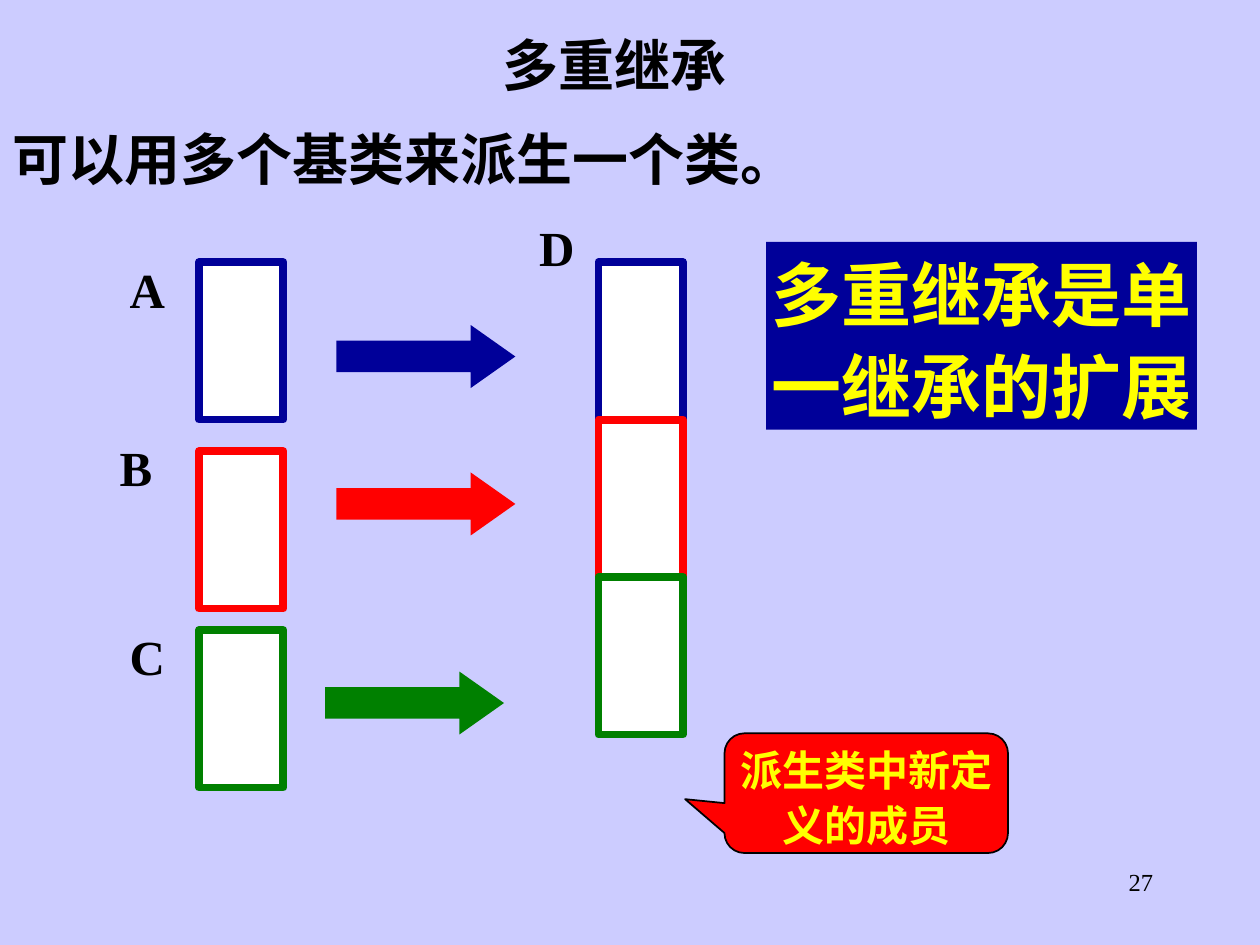
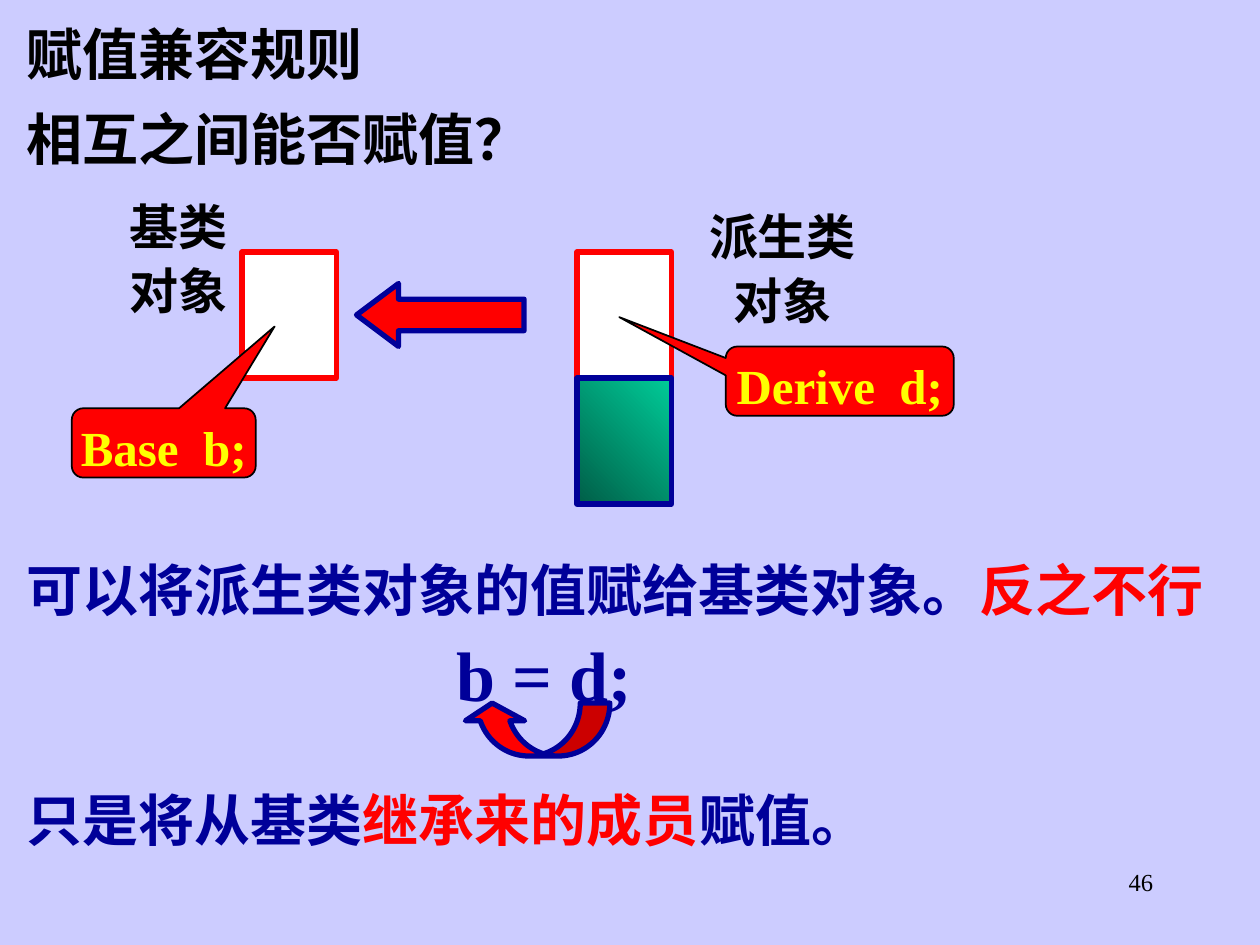
import pptx
import pptx.util
import pptx.dml.color
import pptx.enum.shapes
import pptx.enum.text
from lxml import etree

Inches, Pt = pptx.util.Inches, pptx.util.Pt
SHAPE = pptx.enum.shapes.MSO_SHAPE
ALIGN = pptx.enum.text.PP_ALIGN
ANCHOR = pptx.enum.text.MSO_ANCHOR
AUTO_SIZE = pptx.enum.text.MSO_AUTO_SIZE

COLORS = {
    "background": "CCCCFF", "black": "000000", "white": "FFFFFF",
    "navy": "000099", "red": "FF0000", "green": "008000", "yellow": "FFFF00",
    "teal_dark": "005E47", "teal": "00CC99",
}
SERIF, SANS = "Times New Roman", "Arial"
LABEL = dict(size=28, align=ALIGN.CENTER, spacing=1.1, inset=(0.02, 0.01))
NOTE = dict(LABEL, color="yellow", inset=(0.02, 0))
STATEMENT = dict(size=32, spacing=1.2)

# Content of slide 1: multiple inheritance
INHERITANCE = {
    "number": "27",
    "title": "多重继承",
    "body": "可以用多个基类来派生一个类。",
    "remark": "多重继承是单一继承的扩展",
    "callout": "派生类中新定义的成员",
}
# name, colour, label position, box top, arrow position
BASES = [
    ("A", "navy", (0.92, 2), 2.08, (2.67, 2.58)),
    ("B", "red", (0.83, 3.42), 3.58, (2.67, 3.75)),
    ("C", "green", (0.92, 4.92), 5, (2.58, 5.33)),
]
MEMBER_W, MEMBER_H = 0.67, 1.25
DERIVED_LEFT, DERIVED_TOP = 4.75, 2.08

# Content of slide 2: assignment compatibility
ASSIGNMENT = {
    "number": "46",
    "title": "赋值兼容规则",
    "body": "相互之间能否赋值？",
}
OBJECT_LABELS = [("基类对象", (0.92, 1.5, 1, 1.05)),
                 ("派生类对象", (5.5, 1.58, 1.42, 1.05))]
DECLARATIONS = [("Base  b;", (0.57, 3.24, 1.46, 0.55), (0.603, -1.681, 0.167)),
                ("Derive  d;", (5.76, 2.75, 1.81, 0.55), (-0.967, -0.924, 0.167))]
RULES = [
    (4.25, [("可以将派生类对象的值赋给基类对象。", "navy"), ("反之不行", "red")]),
    (6.08, [("只是将从基类", "navy"), ("继承来的成员", "red"), ("赋值。", "navy")]),
]
OBJECT_W, OBJECT_H, OBJECT_TOP = 0.75, 1, 2
BASE_LEFT, DERIVE_LEFT = 1.92, 4.58
STATEMENT_LEFT, STATEMENT_W, STATEMENT_H = 0.11, 9.89, 0.74


def rgb(name):
    return pptx.dml.color.RGBColor.from_string(COLORS[name])


def box(at):
    return [Inches(v) for v in at]


def write(sp, text, size=28, color="black", bold=True, font=SERIF,
          align=ALIGN.LEFT, spacing=1.0, inset=(0.1, 0.05), wrap=True):
    """Write one paragraph; text is a string or a list of (text, colour)."""
    tf = sp.text_frame
    tf.word_wrap = wrap
    tf.auto_size = AUTO_SIZE.NONE
    tf.vertical_anchor = ANCHOR.TOP
    tf.margin_left = tf.margin_right = Inches(inset[0])
    tf.margin_top = tf.margin_bottom = Inches(inset[1])
    p = tf.paragraphs[0]
    if sp.is_placeholder:
        pPr = p._p.get_or_add_pPr()
        pPr.set("marL", "0")
        pPr.set("indent", "0")
        etree.SubElement(pPr, pptx.oxml.ns.qn("a:buNone"))
    p.alignment, p.line_spacing, p.space_before = align, spacing, Pt(0)
    for part, part_color in [(text, color)] if isinstance(text, str) else text:
        r = p.add_run()
        r.text = part
        r.font.name, r.font.size, r.font.bold = font, Pt(size), bold
        r.font.color.rgb = rgb(part_color)


def add_text(s, at, text, **fmt):
    write(s.shapes.add_textbox(*box(at)), text, **fmt)


def add_shape(s, kind, at, fill, line=None, width=3, adj=()):
    sp = s.shapes.add_shape(kind, *box(at))
    sp.shadow.inherit = False
    if isinstance(fill, tuple):
        sp.fill.gradient()
        sp.fill.gradient_angle = 45
        for stop, name in zip(sp.fill.gradient_stops, fill):
            stop.color.rgb = rgb(name)
    else:
        sp.fill.solid()
        sp.fill.fore_color.rgb = rgb(fill)
    if line:
        sp.line.color.rgb = rgb(line)
        sp.line.width = Pt(width)
    else:
        sp.line.fill.background()
    for i, value in enumerate(adj):
        sp.adjustments[i] = value
    return sp


def add_callout(s, at, text, adj, **fmt):
    sp = add_shape(s, SHAPE.ROUNDED_RECTANGULAR_CALLOUT, at, "red", "black", 1, adj)
    write(sp, text, **dict(NOTE, **fmt))


def add_slide(prs, content, title_at, body_at, title_fmt, body_fmt):
    """Slide with title, body line and page number."""
    s = prs.slides.add_slide(prs.slide_layouts[1])
    for sp, key, at, fmt in zip(s.placeholders, ("title", "body"),
                                (title_at, body_at), (title_fmt, body_fmt)):
        sp.left, sp.top, sp.width, sp.height = box(at)
        write(sp, content[key], **fmt)
    add_text(s, (7.17, 6.83, 2.08, 0.5), content["number"], size=14, bold=False,
             align=ALIGN.RIGHT)
    return s


def build_inheritance(prs):
    heading = dict(size=32, spacing=0.9)
    s = add_slide(prs, INHERITANCE, (0, 0.25, 9.75, 0.6), (0, 1, 9.75, 0.6),
                  dict(heading, font=SANS, align=ALIGN.CENTER), heading)

    # Base classes, their arrows and the members they pass on
    for i, (name, color, label_at, top, arrow_at) in enumerate(BASES):
        add_text(s, (*label_at, 0.5, 0.54), name, **LABEL)
        add_shape(s, SHAPE.RIGHT_ARROW, (*arrow_at, 1.42, 0.5), color,
                  adj=(0.5, 0.708))
        for left, y in ((1.58, top), (DERIVED_LEFT, DERIVED_TOP + i * MEMBER_H)):
            add_shape(s, SHAPE.RECTANGLE, (left, y, MEMBER_W, MEMBER_H),
                      "white", color, 4.5)
    add_text(s, (4.17, 1.67, 0.5, 0.54), "D", **LABEL)

    # Remark and callout
    sp = add_shape(s, SHAPE.RECTANGLE, (6.08, 1.92, 3.42, 1.49), "navy")
    write(sp, INHERITANCE["remark"], **dict(LABEL, size=40, color="yellow"))
    add_callout(s, (5.75, 5.82, 2.25, 0.95), INHERITANCE["callout"],
                (-0.639, 0.05, 0.167), size=24)


def build_assignment(prs):
    s = add_slide(prs, ASSIGNMENT, (STATEMENT_LEFT, 0, STATEMENT_W, STATEMENT_H),
                  (STATEMENT_LEFT, 0.67, STATEMENT_W, STATEMENT_H),
                  STATEMENT, STATEMENT)

    # Base object, derived object and the arrow between them
    for left, row, fill, line in (
            (BASE_LEFT, 0, "white", "red"),
            (DERIVE_LEFT, 0, "white", "red"),
            (DERIVE_LEFT, 1, ("teal_dark", "teal"), "navy")):
        add_shape(s, SHAPE.RECTANGLE,
                  (left, OBJECT_TOP + row * OBJECT_H, OBJECT_W, OBJECT_H), fill, line)
    add_shape(s, SHAPE.LEFT_ARROW, (2.83, 2.25, 1.33, 0.5), "red", "navy",
              adj=(0.5, 0.667))
    for text, at in OBJECT_LABELS:
        add_text(s, at, text, **LABEL)
    for text, at, adj in DECLARATIONS:
        add_callout(s, at, text, adj, wrap=False)

    # Rules and the assignment
    for top, runs in RULES:
        add_text(s, (STATEMENT_LEFT, top, STATEMENT_W, STATEMENT_H), runs, **STATEMENT)
    add_text(s, (3.32, 4.83, 2, 0.9), "b = d;", size=40, color="navy",
             align=ALIGN.CENTER, spacing=1.2)
    sp = add_shape(s, SHAPE.CURVED_DOWN_ARROW, (3.67, 5.58, 1.17, 0.42), "red",
                   "navy", adj=(0.56, 1.12, 0.333))
    sp.rotation = 180


def main():
    prs = pptx.Presentation()
    prs.slide_width, prs.slide_height = Inches(10), Inches(7.5)
    fill = prs.slide_master.background.fill
    fill.solid()
    fill.fore_color.rgb = rgb("background")
    build_inheritance(prs)
    build_assignment(prs)
    prs.save("out.pptx")


if __name__ == "__main__":
    main()
